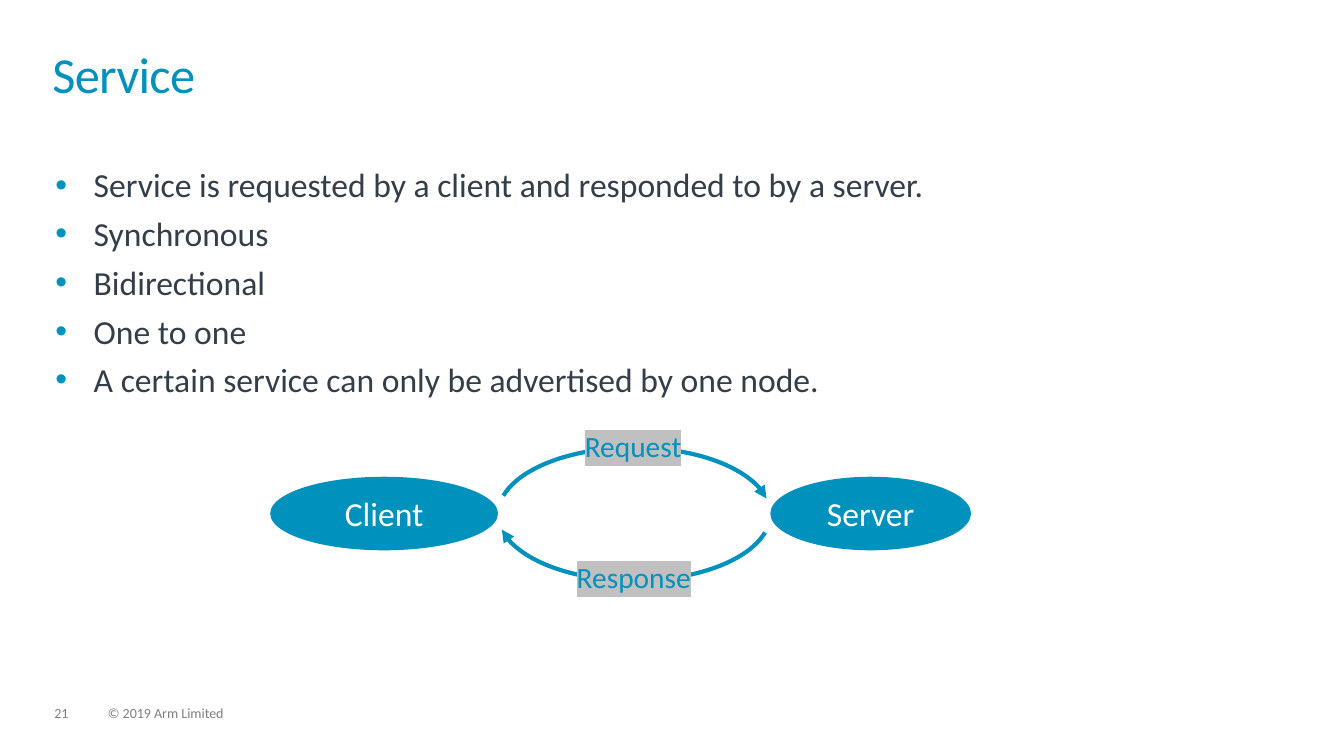
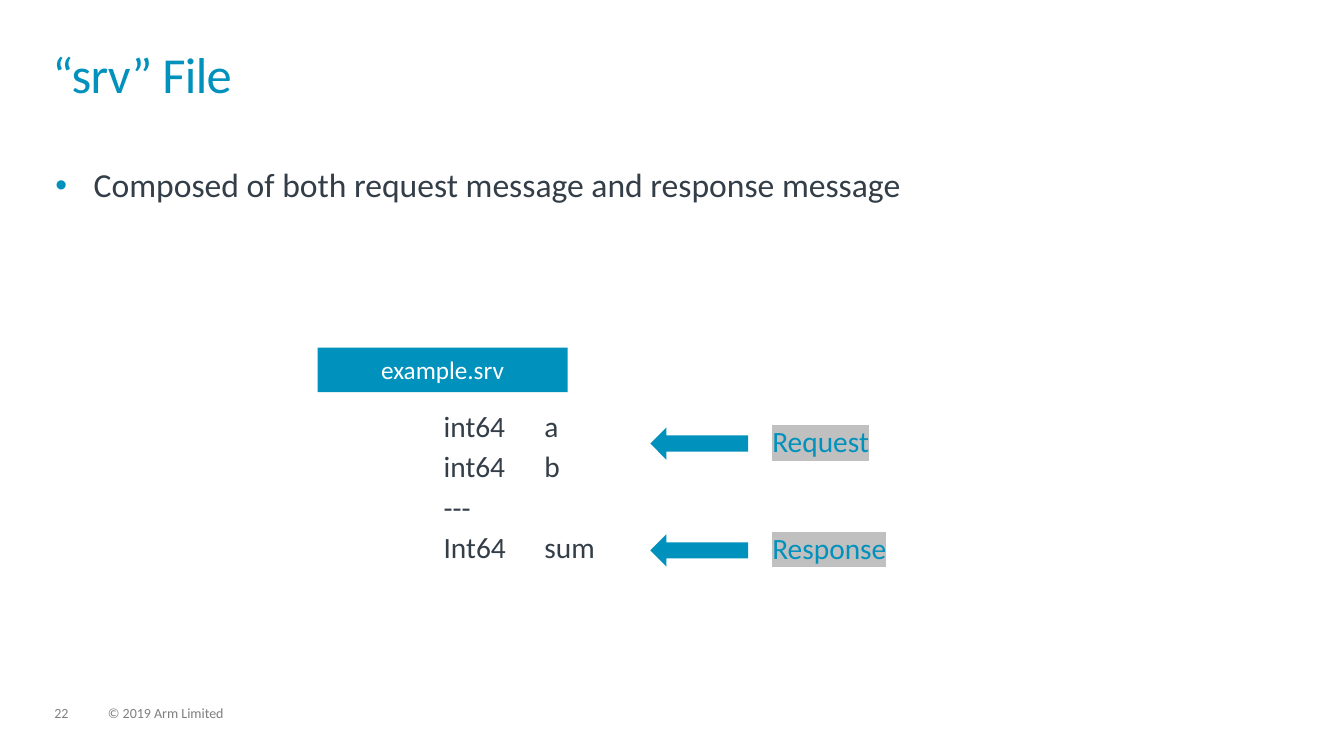
from lxml import etree
from pptx import Presentation
from pptx import util as u
from pptx.dml.color import RGBColor
from pptx.enum import shapes, text
from pptx.oxml.ns import qn

FONT = "Calibri"
COLORS = {
    "accent": "0091BD",
    "body": "333E48",
    "footer": "7F7F7F",
    "highlight": "C0C0C0",
    "white": "FFFFFF",
}


def add_element(parent, tag, **attributes):
    return etree.SubElement(parent, qn(tag), attributes)


class Deck:
    """Holds the shared style and the current slide."""

    def __init__(self, first_number):
        self.presentation = Presentation()
        self.presentation.slide_width = u.Inches(13.33)
        self.presentation.slide_height = u.Inches(7.5)
        self.number = first_number
        self.slide = None

    def color(self, name):
        return RGBColor.from_string(COLORS[name])

    def style(self, paragraph, size, color):
        paragraph.font.name = FONT
        paragraph.font.size = u.Pt(size)
        paragraph.font.color.rgb = self.color(color)

    # Slide with title and footer
    def add_slide(self, title):
        layout = self.presentation.slide_layouts[6]
        self.slide = self.presentation.slides.add_slide(layout)
        self.text((0.54, 7.01, 0.34, 0.15), [str(self.number)], 10, "footer")
        self.text((1.07, 7.01, 1.71, 0.15), ["© 2019 Arm Limited"], 10, "footer")
        heading = self.text((0.52, 0.52, 12.28, 0.72), [title], 36, "accent", spacing=0.85)
        heading.runs[0]._r.get_or_add_rPr().set("spc", "-50")
        self.number += 1

    # Text elements
    def text(self, box, lines, size, color, spacing=0.9, before=0, after=0,
             bullet=False, tab=None, wrap=True):
        frame = self.slide.shapes.add_textbox(*map(u.Inches, box)).text_frame
        frame.word_wrap = wrap
        frame.margin_left = frame.margin_right = 0
        frame.margin_top = frame.margin_bottom = 0
        for index, line in enumerate(lines):
            paragraph = frame.add_paragraph() if index else frame.paragraphs[0]
            paragraph.text = line
            properties = paragraph._p.get_or_add_pPr()
            if bullet:
                indent = u.Inches(0.38)
                properties.set("marL", str(indent))
                properties.set("indent", str(-indent))
                bullet_color = add_element(properties, "a:buClr")
                add_element(bullet_color, "a:srgbClr", val=COLORS["accent"])
                add_element(properties, "a:buFont", typeface="Arial")
                add_element(properties, "a:buChar", char="•")
            if tab:
                tabs = add_element(properties, "a:tabLst")
                add_element(tabs, "a:tab", pos=str(u.Inches(tab)), algn="l")
            paragraph.line_spacing = spacing
            paragraph.space_before = u.Pt(before if index else 0)
            paragraph.space_after = u.Pt(after)
            self.style(paragraph, size, color)
        return frame.paragraphs[0]

    def bullets(self, lines):
        self.text((0.55, 1.63, 12.23, 4.47), lines, 24, "body",
                  spacing=1.0, before=6, bullet=True)

    def label(self, left, top, width, caption):
        paragraph = self.text((left, top, width, 0.32), [caption], 21, "accent", wrap=False)
        properties = paragraph.runs[0]._r.get_or_add_rPr()
        highlight = add_element(properties, "a:highlight")
        add_element(highlight, "a:srgbClr", val=COLORS["highlight"])

    # Shapes
    def block(self, kind, box, caption="", size=24):
        shape = self.slide.shapes.add_shape(kind, *map(u.Inches, box))
        shape.shadow.inherit = False
        shape.fill.solid()
        shape.fill.fore_color.rgb = self.color("accent")
        shape.line.fill.background()
        if caption:
            frame = shape.text_frame
            frame.vertical_anchor = text.MSO_ANCHOR.MIDDLE
            paragraph = frame.paragraphs[0]
            paragraph.text = caption
            paragraph.alignment = text.PP_ALIGN.CENTER
            self.style(paragraph, size, "white")

    def arc_arrow(self, box, rotation):
        arc = self.slide.shapes.add_shape(shapes.MSO_SHAPE.ARC, *map(u.Inches, box))
        arc.shadow.inherit = False
        arc.adjustments[0] = 112.8
        arc.adjustments[1] = 211.98
        arc.rotation = rotation
        arc.fill.background()
        arc.line.color.rgb = self.color("accent")
        arc.line.width = u.Pt(3)
        line = arc._element.spPr.find(qn("a:ln"))
        add_element(line, "a:tailEnd", type="triangle")


def build_service(deck):
    deck.add_slide("Service")
    deck.bullets([
        "Service is requested by a client and responded to by a server.",
        "Synchronous",
        "Bidirectional",
        "One to one",
        "A certain service can only be advertised by one node.",
    ])
    # Client and server exchange
    oval = shapes.MSO_SHAPE.OVAL
    deck.block(oval, (7.64, 4.73, 1.99, 0.73), "Server")
    deck.block(oval, (2.68, 4.73, 2.26, 0.73), "Client")
    for rotation in (0, 180):
        deck.arc_arrow((4.94, 4.44, 2.7, 1.32), rotation)
    deck.label(5.8, 4.29, 0.97, "Request")
    deck.label(5.72, 5.59, 1.14, "Response")


def build_srv_file(deck):
    deck.add_slide("“srv” File")
    deck.bullets(["Composed of both request message and response message"])
    # File listing
    deck.text((4.4, 4.09, 2, 1.52), ["int64\ta", "int64\tb", "---", "Int64\tsum"],
              21, "body", after=6, tab=1)
    deck.block(shapes.MSO_SHAPE.RECTANGLE, (3.15, 3.45, 2.48, 0.44), "example.srv", 18)
    # Message parts
    for top, width, caption in ((4.24, 0.97, "Request"), (5.3, 1.14, "Response")):
        deck.label(7.66, top, width, caption)
        deck.block(shapes.MSO_SHAPE.LEFT_ARROW, (6.45, top, 0.97, 0.32))


def main():
    deck = Deck(first_number=21)
    build_service(deck)
    build_srv_file(deck)
    deck.presentation.save("out.pptx")


if __name__ == "__main__":
    main()
